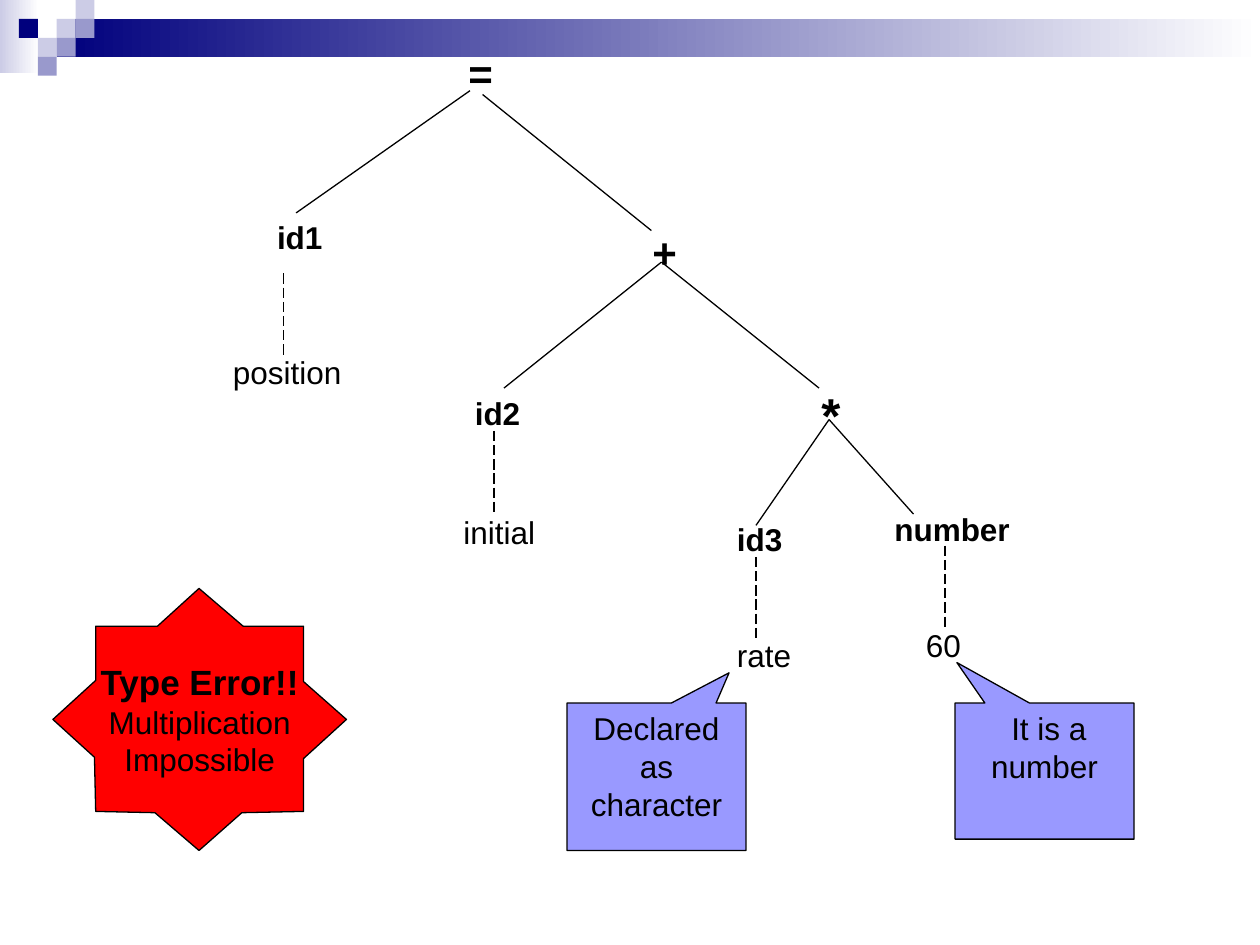
"""Build a slide with an annotated syntax tree and a type error."""
from lxml.etree import SubElement
from pptx import Presentation
from pptx.dml.color import RGBColor
from pptx.enum.dml import MSO_LINE
from pptx.enum.shapes import MSO_CONNECTOR as Link, MSO_SHAPE as Shape
from pptx.enum.text import MSO_ANCHOR as Anchor, MSO_AUTO_SIZE as Fit, PP_ALIGN as Align
from pptx.oxml.ns import qn
from pptx.util import Inches, Pt

BLACK, NAVY, PALE, MID, WHITE = "000000", "00007D", "CCCCE6", "9999CC", "FFFFFF"
UNIT = 0.15
SQUARES = [(3, 1, PALE), (4, 0, PALE), (4, 1, MID), (2, 2, PALE),
           (1, 1, NAVY), (3, 2, MID), (2, 3, MID)]
NODES = [("=", 3.62, 0.33, 0.96, 0.5, 24), ("id1", 2.1, 1.68, 1.65, 0.4, 18),
         ("+", 5.08, 1.75, 0.75, 0.5, 24), ("id2", 3.67, 3.08, 0.83, 0.4, 18),
         ("*", 6.42, 3, 0.92, 0.57, 28), ("id3", 5.75, 4.08, 0.83, 0.4, 18),
         ("number", 7, 4, 1.33, 0.4, 18)]
LEAVES = [("position", 1.75, 2.75, 1.33), ("initial", 3.58, 4.02, 1.33),
          ("rate", 5.75, 5, 1.17), ("60", 7.25, 4.92, 0.83)]
EDGES = [(3.73, 0.72, 2.35, 1.69), (3.83, 0.75, 5.17, 1.83),
         (5.25, 2.08, 4, 3.08), (5.25, 2.08, 6.5, 3.08),
         (6.58, 3.33, 6, 4.17), (6.58, 3.33, 7.25, 4.08)]
DROPS = [(2.25, 2.17), (3.92, 3.42), (6, 4.42), (7.5, 4.33)]
NOTES = [("Declared as character", 4.5, 1.17, (0.406, -0.705)),
         (" It is a number", 7.58, 1.08, (-0.49, -0.798))]
STAR = [(0.42, 5.71), (0.75, 6.01), (0.76, 6.44), (1.23, 6.45),
        (1.58, 6.75), (1.92, 6.45), (2.41, 6.44), (2.41, 6.02),
        (2.75, 5.71), (2.41, 5.41), (2.41, 4.97), (1.93, 4.97),
        (1.58, 4.67), (1.25, 4.97), (0.76, 4.97), (0.76, 5.4)]
ALERT = [("Type Error!!", 20, True), ("Multiplication", 18, False),
         ("Impossible", 18, False)]


def color(code):
    """Turn a hex string into a colour."""
    return RGBColor.from_string(code)


def apply(item, form):
    """Set each attribute named in a format dict."""
    for name, value in form.items():
        setattr(item, name, value)


def write(frame, rows, align=Align.LEFT, **form):
    """Write rows of (text, size, bold) into a text frame."""
    apply(frame, {"word_wrap": True, "vertical_anchor": Anchor.TOP, **form})
    for i, (text, size, bold) in enumerate(rows):
        para = frame.add_paragraph() if i else frame.paragraphs[0]
        para.alignment = align
        run = para.add_run()
        run.text = text
        apply(run.font, {"name": "Arial", "size": Pt(size), "bold": bold})
        run.font.color.rgb = color(BLACK)


def paint(shape, fill, line=None):
    """Give a shape a plain fill and an optional thin outline."""
    shape.shadow.inherit = False
    shape.fill.solid()
    shape.fill.fore_color.rgb = color(fill)
    if line:
        shape.line.color.rgb = color(line)
        shape.line.width = Pt(0.75)
    else:
        shape.line.fill.background()


def block(slide, box, fill, kind=Shape.RECTANGLE, line=None):
    """Add a filled preset shape."""
    shape = slide.shapes.add_shape(kind, *map(Inches, box))
    paint(shape, fill, line)
    return shape


def fade(slide, box, start):
    """Add a bar that fades to white from left to right."""
    fill = block(slide, box, start).fill
    fill.gradient()
    fill.gradient_angle = 0
    for stop, code, place in zip(fill.gradient_stops, (start, WHITE), (0, 1)):
        stop.color.rgb = color(code)
        stop.position = place


def label(slide, text, box, size=18, bold=False):
    """Add a tree label."""
    frame = slide.shapes.add_textbox(*map(Inches, box)).text_frame
    write(frame, [(text, size, bold)], auto_size=Fit.SHAPE_TO_FIT_TEXT)


def edge(slide, ends, dash=None):
    """Add a straight tree line, dashed on request."""
    link = slide.shapes.add_connector(Link.STRAIGHT, *map(Inches, ends))
    link.line.color.rgb = color(BLACK)
    apply(link.line, {"width": Pt(0.75), "dash_style": dash})
    SubElement(link._element.spPr, qn("a:effectLst"))


def note(slide, text, left, high, tip):
    """Add a callout whose tip points at a leaf."""
    box = (left, 5.58, 1.42, high)
    shape = block(slide, box, "9999FF", Shape.RECTANGULAR_CALLOUT, BLACK)
    for i, value in enumerate(tip):
        shape.adjustments[i] = value
    write(shape.text_frame, [(text, 18, False)], Align.CENTER)


def star(slide):
    """Add the red star with the error message."""
    points = [(Inches(x), Inches(y)) for x, y in STAR]
    pen = slide.shapes.build_freeform(*points[0])
    pen.add_line_segments(points[1:], close=True)
    shape = pen.convert_to_shape()
    paint(shape, "FF0000", BLACK)
    write(shape.text_frame, ALERT, Align.CENTER,
          word_wrap=False, vertical_anchor=Anchor.MIDDLE)


def main():
    """Build and save the slide."""
    deck = Presentation()
    apply(deck, {"slide_width": Inches(10), "slide_height": Inches(7.5)})
    slide = deck.slides.add_slide(deck.slide_layouts[6])
    fade(slide, (0, 0, 0.31, 0.58), PALE)
    fade(slide, (0.45, 0.15, 9.55, 0.3), NAVY)
    for col, row, fill in SQUARES:
        block(slide, (col * UNIT, row * UNIT, UNIT, UNIT), fill)
    for text, *box, size in NODES:
        label(slide, text, box, size, True)
    for ends in EDGES:
        edge(slide, ends)
    for x, y in DROPS:
        edge(slide, (x, y, x, y + 0.66), MSO_LINE.LONG_DASH)
    for text, left, top, wide in LEAVES:
        label(slide, text, (left, top, wide, 0.4))
    for item in NOTES:
        note(slide, *item)
    star(slide)
    deck.save("out.pptx")


if __name__ == "__main__":
    main()
